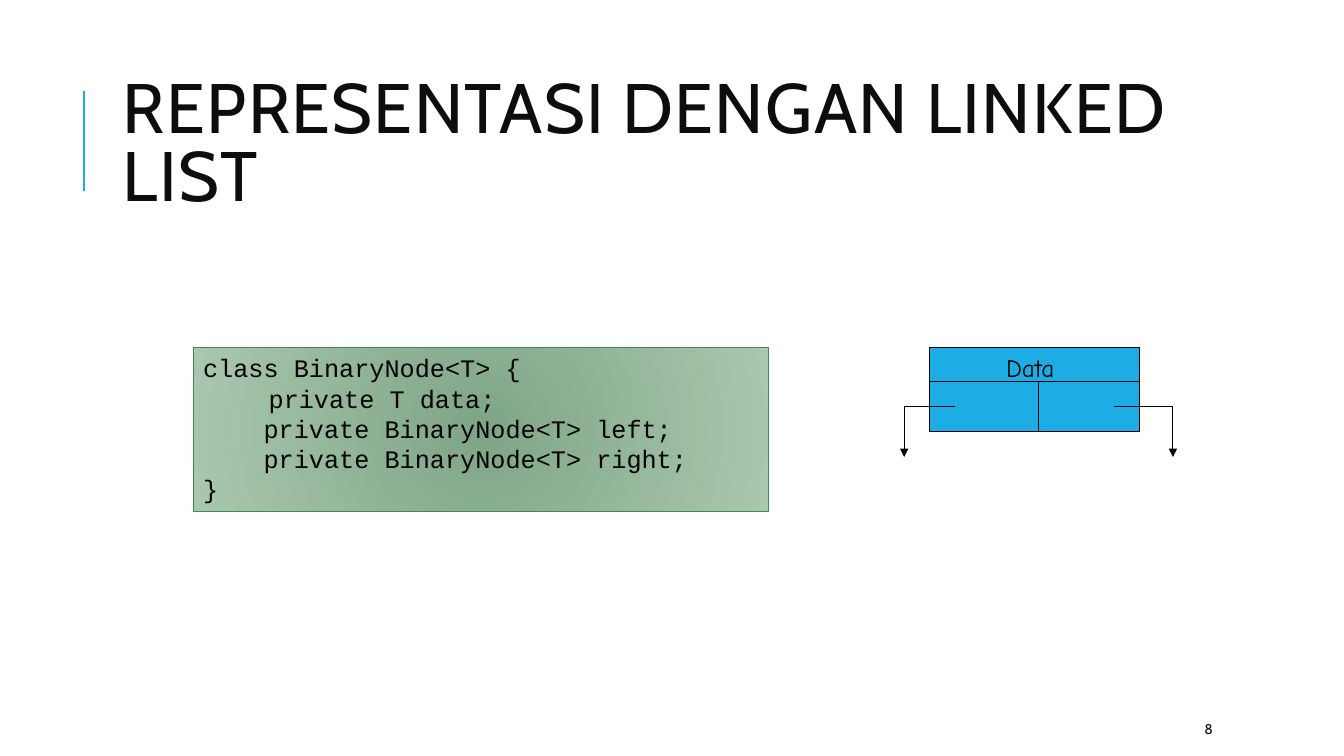
from lxml.etree import SubElement
from pptx import Presentation
from pptx.dml.color import RGBColor
from pptx.enum.dml import MSO_LINE
from pptx.enum.shapes import MSO_CONNECTOR, MSO_SHAPE
from pptx.enum.text import MSO_ANCHOR, MSO_AUTO_SIZE, PP_ALIGN
from pptx.oxml.ns import qn
from pptx.util import Inches, Pt

COLUMNS, ROWS = 160, 90
CELL = Inches(13.333) / COLUMNS

CODE = [
    ("class BinaryNode<T> {", 0),
    ("private T data;", 7.8),
    ("private BinaryNode<T> left;", 7.2),
    ("private BinaryNode<T> right;", 7.2),
    ("}", 0),
]


def cells(*counts):
    """Turn counts of grid cells into lengths."""
    return [round(count * CELL) for count in counts]


def paint(color_format, color):
    """Give a fill, line or font colour its hex value."""
    color_format.rgb = RGBColor.from_string(color)


def write(frame, lines, *, font, size, color="000000", align=PP_ALIGN.LEFT,
          anchor=MSO_ANCHOR.TOP, line_spacing=None, tracking=None):
    """Fill a text frame with lines, each a pair of text and indent in cells."""
    frame.word_wrap = True
    frame.auto_size = MSO_AUTO_SIZE.NONE
    frame.vertical_anchor = anchor
    for number, (text, indent) in enumerate(lines):
        paragraph = frame.add_paragraph() if number else frame.paragraphs[0]
        paragraph.alignment = align
        if line_spacing:
            paragraph.line_spacing = line_spacing
        if indent:
            properties = paragraph._p.get_or_add_pPr()
            properties.set("marL", str(cells(indent)[0]))
            properties.set("indent", "0")
        run = paragraph.add_run()
        run.text = text
        run.font.name = font
        run.font.size = Pt(size)
        paint(run.font.color, color)
        if tracking:
            run.font._element.set("spc", str(tracking))


def draw_line(shapes, start, end, *, color="000000", width=0.75, arrow=False):
    """Draw a straight line between two grid points."""
    line = shapes.add_connector(MSO_CONNECTOR.STRAIGHT, *cells(*start, *end))
    paint(line.line.color, color)
    line.line.width = Pt(width)
    line.line.dash_style = MSO_LINE.SOLID
    if arrow:
        SubElement(line.line._get_or_add_ln(), qn("a:tailEnd"), type="triangle")
    SubElement(line._element.spPr, qn("a:effectLst"))


def draw_rectangle(shapes, box, *, border):
    """Draw a thinly outlined rectangle on the grid."""
    rectangle = shapes.add_shape(MSO_SHAPE.RECTANGLE, *cells(*box))
    rectangle.shadow.inherit = False
    paint(rectangle.line.color, border)
    rectangle.line.width = Pt(0.75)
    return rectangle


def fill_radial(shape, inner, outer):
    """Fill a shape with a circular gradient."""
    shape.fill.gradient()
    for stop, color in zip(shape.fill.gradient_stops, (inner, outer)):
        paint(stop.color, color)
    gradient = shape._element.spPr.find(qn("a:gradFill"))
    gradient.remove(gradient.find(qn("a:lin")))
    circle = SubElement(gradient, qn("a:path"))
    circle.set("path", "circle")
    SubElement(circle, qn("a:fillToRect"),
               {side: "100000" for side in "ltrb"})


def add_heading(slide, box):
    """Place the title and the accent line at its left."""
    left, top, width, height = box
    title = slide.shapes.title
    title.left, title.top, title.width, title.height = cells(*box)
    write(title.text_frame, [("REPRESENTASI DENGAN LINKED LIST", 0)],
          font="Cabin", size=50, color="0D0D0D", anchor=MSO_ANCHOR.MIDDLE,
          line_spacing=0.8, tracking=100)
    accent = left - 3.44
    draw_line(slide.shapes, (accent, top + 15.1), (accent, top + 3.1),
              color="1CADE4", width=1.5)


def add_code(slide, box):
    """Place the class listing on its shaded panel."""
    panel = draw_rectangle(slide.shapes, box, border="3E8853")
    fill_radial(panel, "7FA587", "A9C7AF")
    write(panel.text_frame, CODE, font="Courier New", size=18)


def add_node(slide, box):
    """Draw a tree node with its data field and two child pointers."""
    left, top, width, height = box
    right, bottom = left + width, top + height
    header, pointer = top + 4, top + 7
    divider = left + 13
    node = slide.shapes.add_group_shape().shapes
    body = draw_rectangle(node, box, border="000000")
    body.fill.solid()
    paint(body.fill.fore_color, "1CADE4")
    draw_line(node, (left, header), (right, header))
    draw_line(node, (divider, header), (divider, bottom))
    for inside, outside in ((left + 3, left - 3), (right - 3, right + 4)):
        draw_line(node, (inside, pointer), (outside, pointer))
        draw_line(node, (outside, pointer), (outside, pointer + 6), arrow=True)
    label = node.add_textbox(*cells(left + 4, top, 16, 4.8))
    write(label.text_frame, [("Data", 0)], font="Comic Neue", size=18,
          align=PP_ALIGN.CENTER)


def add_page_number(slide, box):
    """Place the page number."""
    number = slide.shapes.add_textbox(*cells(*box))
    write(number.text_frame, [("8", 0)], font="Cabin", size=10,
          color="0D0D0D", anchor=MSO_ANCHOR.MIDDLE)


def main():
    """Build the slide and save it."""
    deck = Presentation()
    deck.slide_width, deck.slide_height = cells(COLUMNS, ROWS)
    slide = deck.slides.add_slide(deck.slide_layouts[5])
    add_heading(slide, (13.44, 7.7, 127.6, 19.7))
    add_page_number(slide, (142.2, 85, 12.7, 3.6))
    add_code(slide, (23, 41.4, 68.5, 19.44))
    add_node(slide, (110.64, 41.4, 25, 10))
    deck.save("out.pptx")


if __name__ == "__main__":
    main()
